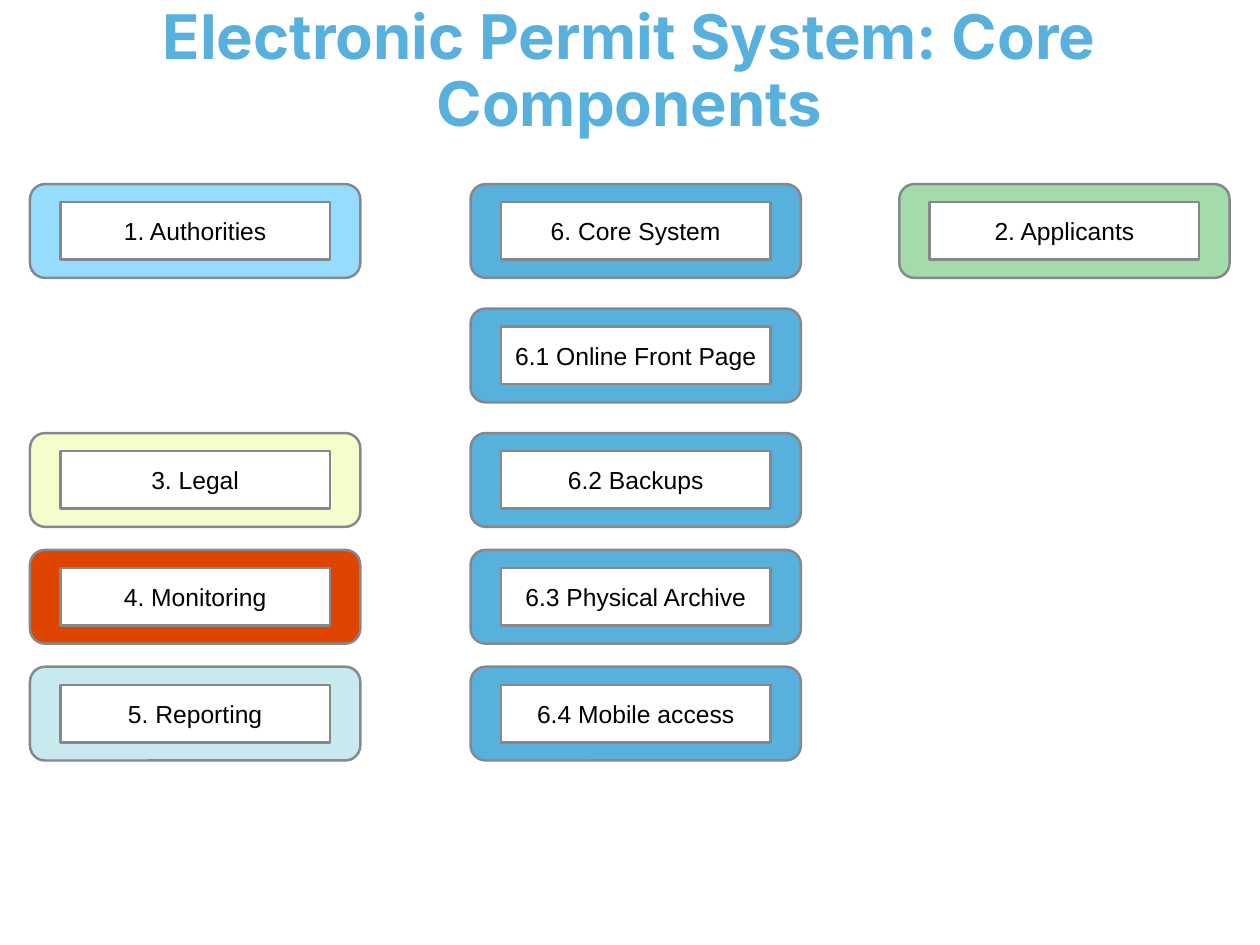
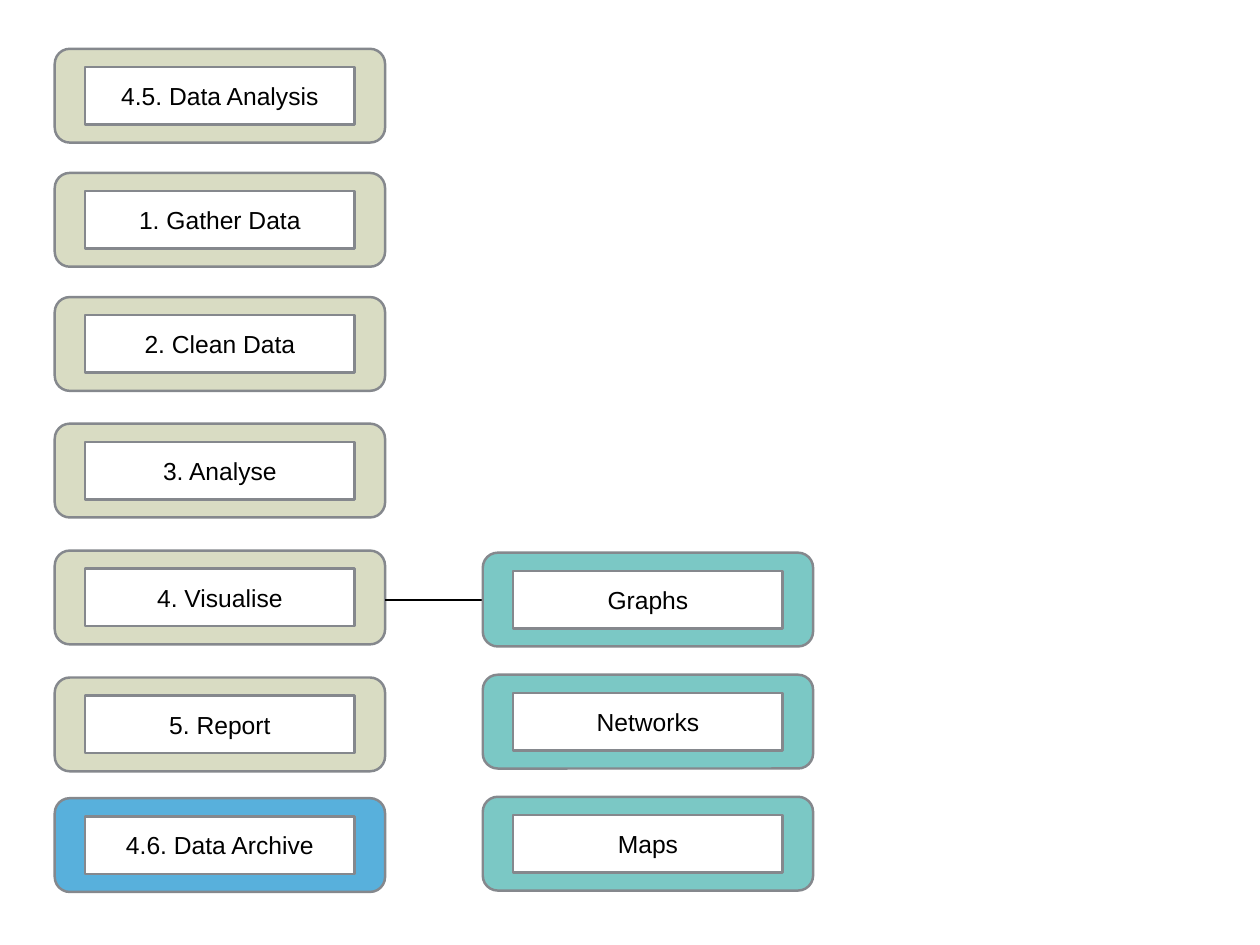
import pptx
import pptx.util
import pptx.dml.color
import pptx.enum.shapes
import pptx.enum.text
import pptx.oxml.ns
from lxml import etree

Cm = pptx.util.Cm
Pt = pptx.util.Pt
RGBColor = pptx.dml.color.RGBColor
Shape = pptx.enum.shapes.MSO_SHAPE

WHITE = RGBColor(0xFF, 0xFF, 0xFF)
BLACK = RGBColor(0x00, 0x00, 0x00)
GREY = RGBColor(0x85, 0x88, 0x8D)
BLUE = RGBColor(0x58, 0xB0, 0xDC)
SKY = RGBColor(0x95, 0xDC, 0xFF)
GREEN = RGBColor(0xA4, 0xDB, 0xAD)
CREAM = RGBColor(0xF6, 0xFC, 0xCC)
ORANGE = RGBColor(0xDE, 0x45, 0x00)
ICE = RGBColor(0xC8, 0xEA, 0xEE)
SAND = RGBColor(0xD9, 0xDC, 0xC3)
TEAL = RGBColor(0x7B, 0xC8, 0xC5)


class Deck:
    title_font = "Inter"
    label_font = "Arial"
    card_width, card_height = 9.47, 2.69
    inset_x, inset_y = 0.87, 0.52
    corner = 0.16
    line_width = Pt(2)
    margin = Cm(0.08)

    def __init__(self):
        self.presentation = pptx.Presentation()
        self.presentation.slide_width = Cm(36.12)
        self.presentation.slide_height = Cm(27.1)
        self.slide = None

    def new_slide(self):
        self.slide = self.presentation.slides.add_slide(self.presentation.slide_layouts[6])

    def set_text(self, shape, text, font, size, color, bold=False):
        frame = shape.text_frame
        frame.word_wrap = True
        frame.vertical_anchor = pptx.enum.text.MSO_ANCHOR.MIDDLE
        frame.margin_left = frame.margin_right = self.margin
        frame.margin_top = frame.margin_bottom = self.margin
        paragraph = frame.paragraphs[0]
        paragraph.text = text
        paragraph.alignment = pptx.enum.text.PP_ALIGN.CENTER
        paragraph.font.name = font
        paragraph.font.size = Pt(size)
        paragraph.font.bold = bold
        paragraph.font.color.rgb = color
        return paragraph

    def title(self, text):
        heading = self.slide.shapes.add_textbox(Cm(4.57), 0, Cm(26.97), Cm(4.19))
        self.set_text(heading, text, self.title_font, 50, BLUE, True).line_spacing = 0.9

    def box(self, group, preset, left, top, width, height, fill):
        shape = group.shapes.add_shape(preset, Cm(left), Cm(top), Cm(width), Cm(height))
        shape.shadow.inherit = False
        shape.fill.solid()
        shape.fill.fore_color.rgb = fill
        shape.line.color.rgb = GREY
        shape.line.width = self.line_width
        return shape

    def card(self, left, top, text, color):
        group = self.slide.shapes.add_group_shape()
        border = self.box(group, Shape.ROUNDED_RECTANGLE, left, top,
                          self.card_width, self.card_height, color)
        border.adjustments[0] = self.corner
        label = self.box(group, Shape.RECTANGLE, left + self.inset_x, top + self.inset_y,
                         self.card_width - 2 * self.inset_x,
                         self.card_height - 2 * self.inset_y, WHITE)
        self.set_text(label, text, self.label_font, 20, BLACK)

    def column(self, left, rows, cards):
        for top, (text, color) in zip(rows, cards):
            self.card(left, top, text, color)

    def link(self, start, end, y):
        connector = self.slide.shapes.add_connector(
            pptx.enum.shapes.MSO_CONNECTOR.STRAIGHT, Cm(start), Cm(y), Cm(end), Cm(y))
        connector.line.color.rgb = BLACK
        connector.line.width = self.line_width
        etree.SubElement(connector._element.spPr, pptx.oxml.ns.qn("a:effectLst"))


def steps(first, pitch, count):
    return [first + pitch * index for index in range(count)]


deck = Deck()

deck.new_slide()
component_rows = steps(5.28, 3.57, 3) + steps(15.77, 3.35, 2)
deck.column(0.86, component_rows[:1] + component_rows[2:], [
    ("1. Authorities", SKY),
    ("3. Legal", CREAM),
    ("4. Monitoring", ORANGE),
    ("5. Reporting", ICE),
])
core_parts = ["6. Core System", "6.1 Online Front Page", "6.2 Backups",
              "6.3 Physical Archive", "6.4 Mobile access"]
deck.column(13.49, component_rows, [(part, BLUE) for part in core_parts])
deck.card(25.78, component_rows[0], "2. Applicants", GREEN)
deck.title("Electronic Permit System: Core Components")

deck.new_slide()
analysis_left, output_left = 1.57, 13.84
analysis_rows = steps(1.4, 3.56, 3) + steps(12.15, 3.64, 3)
analysis_steps = ["4.5. Data Analysis", "1. Gather Data", "2. Clean Data",
                  "3. Analyse", "4. Visualise", "5. Report"]
deck.column(analysis_left, analysis_rows, [(step, SAND) for step in analysis_steps])
deck.card(analysis_left, 22.89, "4.6. Data Archive", BLUE)
deck.link(analysis_left + deck.card_width, output_left, 17.2)
deck.column(output_left, steps(15.85, 3.5, 3),
            [(output, TEAL) for output in ("Graphs", "Networks", "Maps")])

deck.presentation.save("out.pptx")
